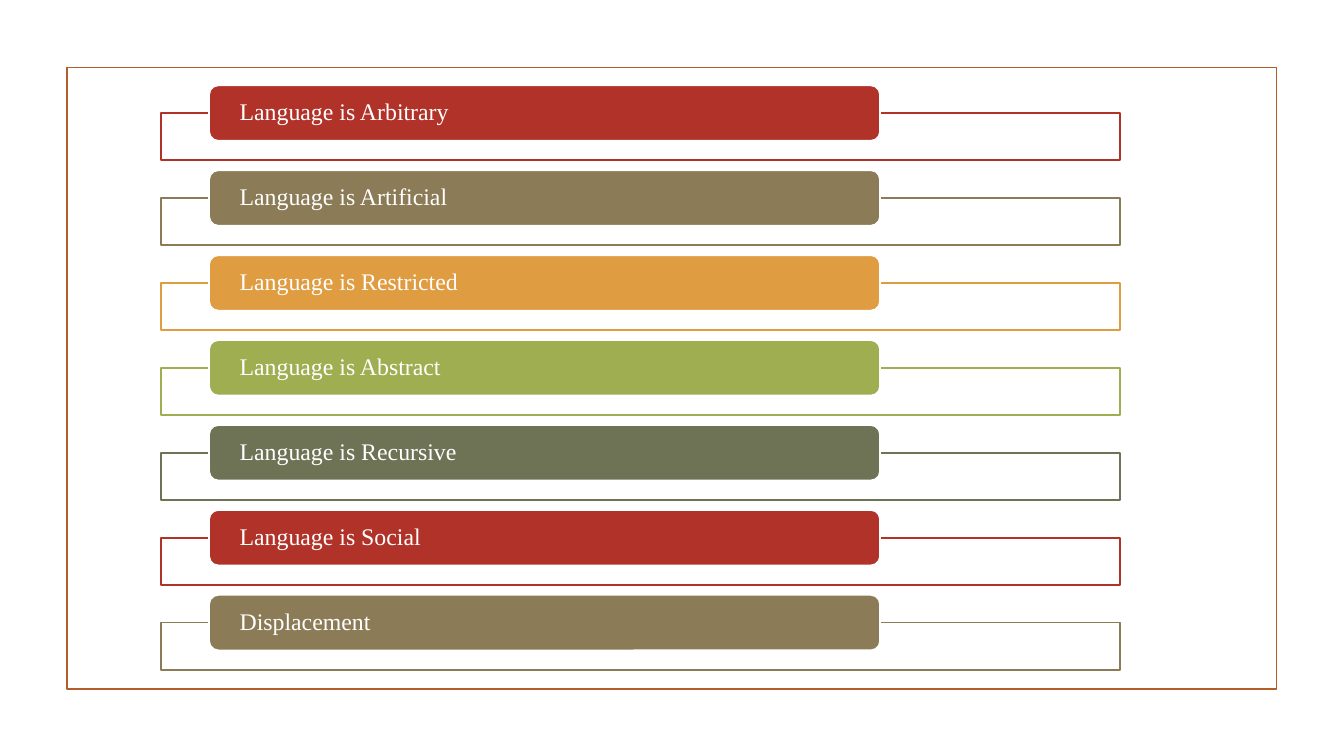
from dataclasses import dataclass

from pptx import Presentation
from pptx.dml.color import RGBColor
from pptx.enum.shapes import MSO_SHAPE
from pptx.enum.text import MSO_ANCHOR, PP_ALIGN
from pptx.shapes.autoshape import Shape
from pptx.slide import Slide
from pptx.util import Cm, Pt


@dataclass(frozen=True)
class Theme:
    white: str = "FFFFFF"
    rust: str = "B15E28"
    red: str = "B13228"
    brown: str = "8B7B56"
    gold: str = "E09C41"
    green: str = "9EAE51"
    olive: str = "6E7355"
    font: str = "Times New Roman"
    size: float = 17
    line: float = 1.25


@dataclass(frozen=True)
class Area:
    left: float
    top: float
    width: float
    height: float


@dataclass(frozen=True)
class Trait:
    label: str
    color: str


THEME = Theme()
FRAME = Area(1.69, 1.7, 30.48, 15.67)
TOP, STEP, BAR, BOX = 2.15, 2.14, 1.4, 1.19
TRAITS = [
    Trait("Language is Arbitrary", THEME.red),
    Trait("Language is Artificial", THEME.brown),
    Trait("Language is Restricted", THEME.gold),
    Trait("Language is Abstract", THEME.green),
    Trait("Language is Recursive", THEME.olive),
    Trait("Language is Social", THEME.red),
    Trait("Displacement", THEME.brown),
]


def add_block(slide: Slide, kind: MSO_SHAPE, area: Area, fill: str, line: str) -> Shape:
    """Add a filled and outlined shape."""
    shape = slide.shapes.add_shape(
        kind, Cm(area.left), Cm(area.top), Cm(area.width), Cm(area.height))
    shape.shadow.inherit = False
    shape.fill.solid()
    shape.fill.fore_color.rgb = RGBColor.from_string(fill)
    shape.line.color.rgb = RGBColor.from_string(line)
    shape.line.width = Pt(THEME.line)
    return shape


def add_label(shape: Shape, text: str) -> None:
    """Write a trait's name inside its bar."""
    frame = shape.text_frame
    frame.word_wrap = True
    frame.vertical_anchor = MSO_ANCHOR.MIDDLE
    frame.margin_left = frame.margin_right = Cm(0.7)
    frame.margin_top = frame.margin_bottom = Cm(0)
    para = frame.paragraphs[0]
    para.alignment = PP_ALIGN.LEFT
    para.line_spacing = 0.9
    run = para.add_run()
    run.text = text
    run.font.name = THEME.font
    run.font.size = Pt(THEME.size)
    run.font.color.rgb = RGBColor.from_string(THEME.white)


def add_trait(slide: Slide, trait: Trait, top: float) -> None:
    """Draw an open box with a named bar centred on its top edge."""
    box = Area(4.06, top + BAR / 2, 24.16, BOX)
    add_block(slide, MSO_SHAPE.RECTANGLE, box, THEME.white, trait.color)
    bar = Area(5.27, top, 16.91, BAR)
    shape = add_block(slide, MSO_SHAPE.ROUNDED_RECTANGLE, bar, trait.color, THEME.white)
    add_label(shape, trait.label)


def main() -> None:
    """Build and save the slide."""
    deck = Presentation()
    deck.slide_width, deck.slide_height = Cm(33.87), Cm(19.05)
    slide = deck.slides.add_slide(deck.slide_layouts[6])
    frame = add_block(slide, MSO_SHAPE.RECTANGLE, FRAME, THEME.white, THEME.rust)
    frame.fill.background()
    for row, trait in enumerate(TRAITS):
        add_trait(slide, trait, TOP + row * STEP)
    deck.save("out.pptx")


if __name__ == "__main__":
    main()
